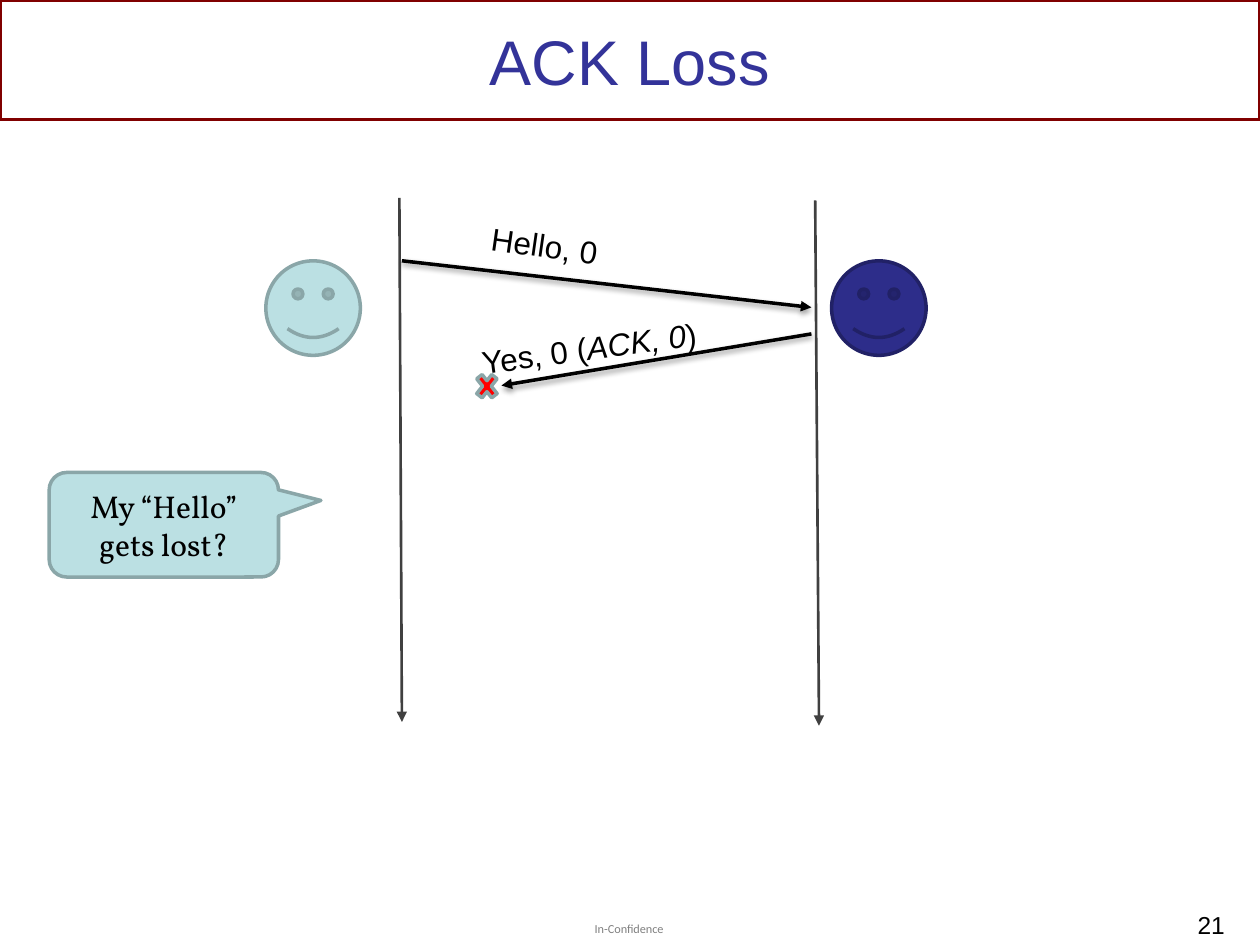
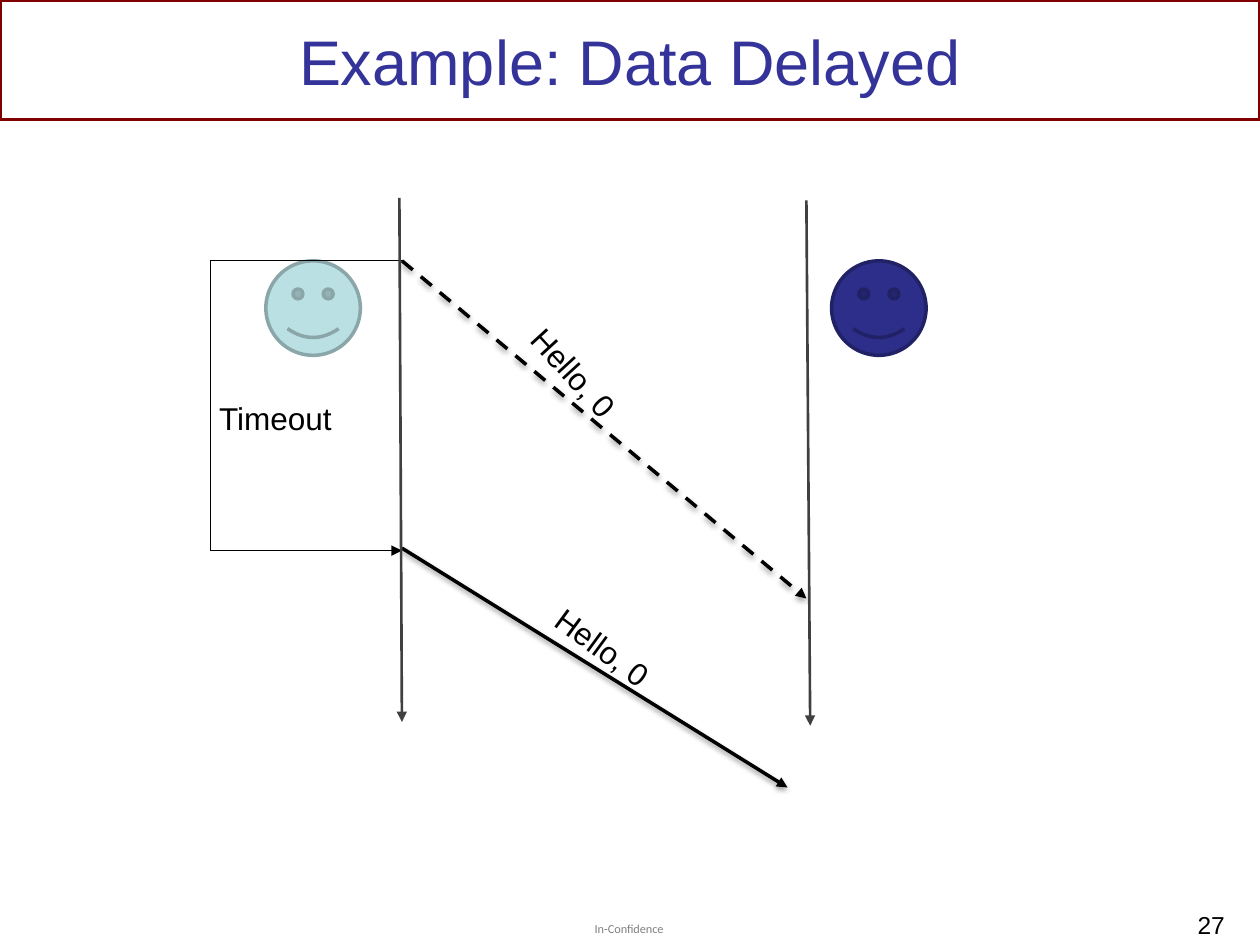
from lxml import etree
from pptx import Presentation
from pptx import util as u
from pptx.dml.color import RGBColor
from pptx.enum import dml, shapes, text
from pptx.oxml.ns import qn

WIDTH, HEIGHT = u.Inches(10), u.Inches(7.5)
COLUMN, ROW = WIDTH / 10, HEIGHT / 7.5
BLACK, MAROON, TITLE_BLUE, AXIS_GRAY = "000000", "800000", "333399", "404040"
PALE, PALE_EDGE = "BBE0E3", "8AA6A8"
NAVY, NAVY_EDGE = "2D2D8A", "212166"
RED = "FF0000"
SENDER = 3.19
START = 2.07
TIMEOUT = 4.37
BRACKET = 1.67


def colour(code):
    """Turn a hex string into a colour."""
    return RGBColor.from_string(code)


def grid(column, row):
    """Turn columns and rows into slide lengths."""
    return u.Emu(round(column * COLUMN)), u.Emu(round(row * ROW))


def style_spans(paragraph, size, code, font="Arial"):
    """Give every run of a paragraph the same font, size and colour."""
    for span in paragraph.runs:
        span.font.name = font
        span.font.size = u.Pt(size)
        span.font.color.rgb = colour(code)


def add_text(page, spans, left, top, width, height, size=18, code=BLACK,
             font="Arial", align=text.PP_ALIGN.LEFT):
    """Add a text box holding one paragraph of plain runs."""
    box = page.shapes.add_textbox(*grid(left, top), *grid(width, height))
    box.text_frame.word_wrap = True
    paragraph = box.text_frame.paragraphs[0]
    for words in spans:
        paragraph.add_run().text = words
    paragraph.alignment = align
    style_spans(paragraph, size, code, font)
    return box


def add_label(page, spans, left, top, width, rotation=0):
    """Add a one-line label, turned to follow its message."""
    box = add_text(page, spans, left, top, width, 0.4)
    box.text_frame.word_wrap = False
    box.text_frame.auto_size = text.MSO_AUTO_SIZE.SHAPE_TO_FIT_TEXT
    box.rotation = rotation
    return box


def add_figure(page, kind, left, top, width, height, fill, edge):
    """Add a preset shape with a two-point outline."""
    figure = page.shapes.add_shape(kind, *grid(left, top), *grid(width, height))
    figure.shadow.inherit = False
    if fill:
        figure.fill.solid()
        figure.fill.fore_color.rgb = colour(fill)
    else:
        figure.fill.background()
    figure.line.color.rgb = colour(edge)
    figure.line.width = u.Pt(2)
    return figure


def add_line(page, start, end, code=BLACK, weight=0.75, arrow=True):
    """Add a straight line without a shadow, with an optional arrowhead."""
    line = page.shapes.add_connector(
        shapes.MSO_CONNECTOR.STRAIGHT, *grid(*start), *grid(*end))
    line.line.color.rgb = colour(code)
    line.line.width = u.Pt(weight)
    if arrow:
        etree.SubElement(line.line._get_or_add_ln(), qn("a:tailEnd"), type="triangle")
    etree.SubElement(line._element.spPr, qn("a:effectLst"))
    return line


def add_message(page, start, end, dashed=False):
    """Add a message arrow with a soft shadow below it."""
    arrow = add_line(page, start, end, weight=2)
    if dashed:
        arrow.line.dash_style = dml.MSO_LINE.DASH
    effects = arrow._element.spPr.find(qn("a:effectLst"))
    shadow = etree.SubElement(
        effects, qn("a:outerShdw"), blurRad=str(u.Pt(3.1)), dist=str(u.Pt(1.6)),
        dir="5400000", rotWithShape="0")
    tint = etree.SubElement(shadow, qn("a:srgbClr"), val=BLACK)
    etree.SubElement(tint, qn("a:alpha"), val="38000")


def add_footer(page, number):
    """Add the half-transparent footer and the slide number."""
    footer = add_text(page, ["In-Confidence"], 4.72, 7.31, 0.57, 0.12, 7, font="Calibri")
    frame = footer.text_frame
    frame.margin_left = frame.margin_top = frame.margin_right = frame.margin_bottom = 0
    frame.word_wrap = False
    tint = next(footer._element.iter(qn("a:srgbClr")))
    etree.SubElement(tint, qn("a:alpha"), val="50000")
    add_text(page, [str(number)], 7.62, 7.17, 2.2, 0.3, 14, align=text.PP_ALIGN.RIGHT)


def add_page(deck, title, number):
    """Add a slide with title band, footer and the two speakers."""
    page = deck.slides.add_slide(deck.slide_layouts[6])
    add_figure(page, shapes.MSO_SHAPE.RECTANGLE, 0, 0, 10, 0.95, None, MAROON)
    heading = add_text(page, [title], 0.5, 0.08, 9, 0.79, 36, TITLE_BLUE,
                       align=text.PP_ALIGN.CENTER)
    heading.text_frame.vertical_anchor = text.MSO_ANCHOR.MIDDLE
    add_footer(page, number)
    for left, fill, edge in ((2.11, PALE, PALE_EDGE), (6.6, NAVY, NAVY_EDGE)):
        add_figure(page, shapes.MSO_SHAPE.SMILEY_FACE, left, START, 0.75, 0.75, fill, edge)
    return page


def add_timelines(page, receiver):
    """Add the downward time axes of the sender and the receiver."""
    add_line(page, (3.17, 1.57), (SENDER, 5.73), AXIS_GRAY, 1.5)
    add_line(page, (receiver, 1.59), (receiver + 0.03, 5.76), AXIS_GRAY, 1.5)


def add_callout(page, words):
    """Add the sender's rounded speech bubble."""
    bubble = add_figure(page, shapes.MSO_SHAPE.ROUNDED_RECTANGULAR_CALLOUT,
                        0.39, 3.75, 1.82, 0.83, PALE, PALE_EDGE)
    for index, value in enumerate((0.685, -0.232, 0.167)):
        bubble.adjustments[index] = value
    frame = bubble.text_frame
    frame.text = words
    frame.word_wrap = True
    frame.vertical_anchor = text.MSO_ANCHOR.MIDDLE
    frame.paragraphs[0].alignment = text.PP_ALIGN.CENTER
    style_spans(frame.paragraphs[0], 18, BLACK, "Vollkorn")


def add_timeout(page):
    """Add the bracket that marks the sender's waiting time."""
    corners = [(SENDER, START), (BRACKET, START), (BRACKET, TIMEOUT), (SENDER, TIMEOUT)]
    for start, end in zip(corners, corners[1:]):
        add_line(page, start, end, arrow=end == corners[-1])
    add_label(page, ["Timeout"], 1.64, 3.12, 1.1)


def build_ack_loss(deck):
    """Build the slide on a lost acknowledgement."""
    page = add_page(deck, "ACK Loss", 21)
    add_message(page, (SENDER, START), (6.44, 2.44))
    add_label(page, ["Hello, 0"], 3.8, 1.75, 1.06, 8.3)
    add_message(page, (6.44, 2.65), (3.98, 3.06))
    reply = add_label(page, ["Yes, 0 (", "ACK, 0", ")"], 3.72, 2.56, 1.93, 352.4)
    reply.text_frame.paragraphs[0].runs[1].font.italic = True
    add_timelines(page, 6.47)
    add_figure(page, shapes.MSO_SHAPE.MATH_MULTIPLY, 3.75, 2.92, 0.23, 0.29, RED, PALE_EDGE)
    add_callout(page, "My “Hello” gets lost?")


def build_data_delayed(deck):
    """Build the slide on delayed data and its repetition."""
    page = add_page(deck, "Example: Data Delayed", 27)
    add_message(page, (SENDER, START), (6.4, 4.75), dashed=True)
    add_label(page, ["Hello, 0"], 4.03, 2.76, 1.06, 47.5)
    add_message(page, (SENDER, 4.35), (6.25, 6.25))
    add_label(page, ["Hello, 0"], 4.26, 4.94, 1.06, 36.3)
    add_timeout(page)
    add_timelines(page, 6.4)


def main():
    """Build and save the deck."""
    deck = Presentation()
    deck.slide_width, deck.slide_height = WIDTH, HEIGHT
    build_ack_loss(deck)
    build_data_delayed(deck)
    deck.save("out.pptx")


if __name__ == "__main__":
    main()
